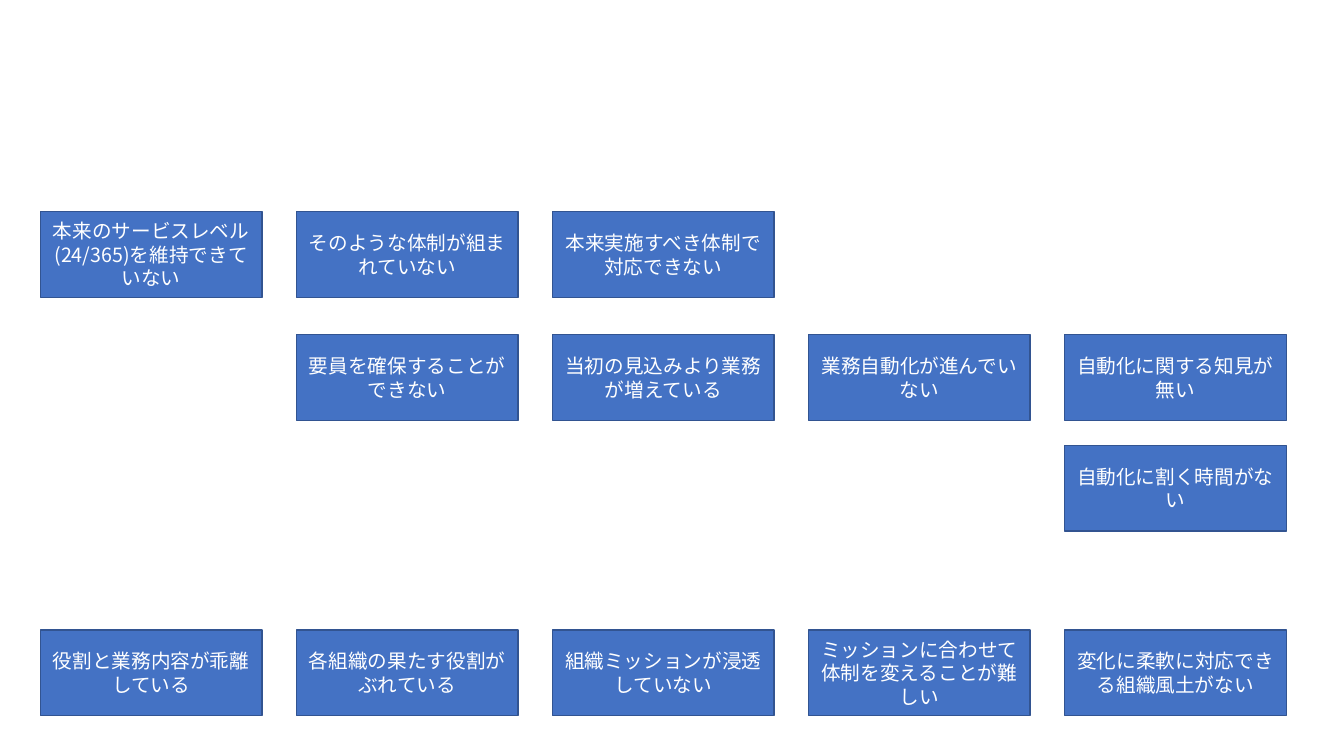
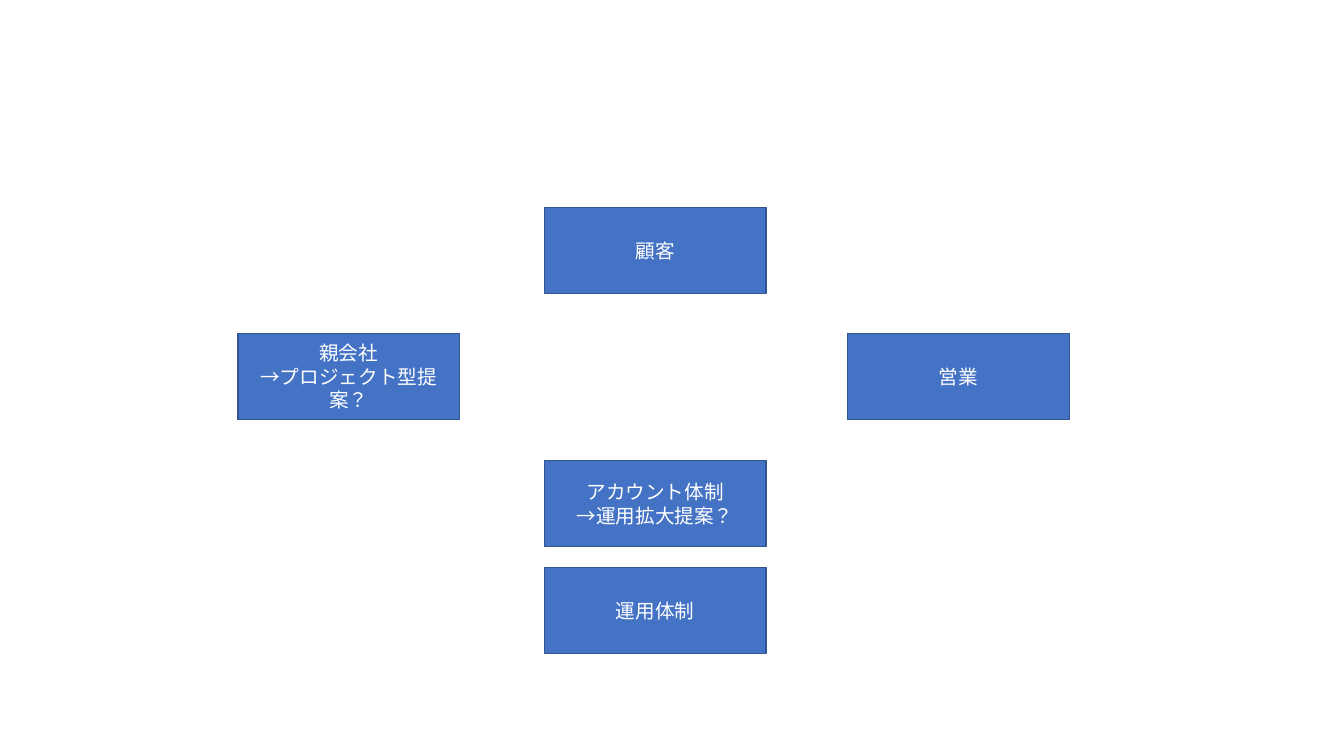
"""Build two slides of issue and stakeholder boxes."""
from lxml.etree import SubElement
from pptx import Presentation
from pptx.dml.color import RGBColor
from pptx.enum.lang import MSO_LANGUAGE_ID
from pptx.enum.shapes import MSO_SHAPE
from pptx.enum.text import MSO_ANCHOR, PP_ALIGN
from pptx.oxml.ns import qn
from pptx.util import Pt

ISSUE_ROWS = [
    (151.2, 0, ["本来のサービスレベル(24/365)を維持できていない",
                "そのような体制が組まれていない",
                "本来実施すべき体制で対応できない"]),
    (239, 1, ["要員を確保することができない",
              "当初の見込みより業務が増えている",
              "業務自動化が進んでいない",
              "自動化に関する知見が無い"]),
    (318.2, 4, ["自動化に割く時間がない"]),
    (450, 0, ["役割と業務内容が乖離している",
              "各組織の果たす役割がぶれている",
              "組織ミッションが浸透していない",
              "ミッションに合わせて体制を変えることが難しい",
              "変化に柔軟に対応できる組織風土がない"]),
]
LEFT, CENTER, RIGHT = 169.9, 388.8, 605.5
STAKEHOLDERS = [
    (CENTER, 329, "アカウント体制\n→運用拡大提案？"),
    (CENTER, 405.4, "運用体制"),
    (CENTER, 148.3, "顧客"),
    (LEFT, 238.3, "親会社\n→プロジェクト型提案？"),
    (RIGHT, 238.3, "営業"),
]
MARGIN, PITCH = 28.8, 182.9
BOX_W, BOX_H = 158.4, 61.2
FILL, LINE, WHITE = "4472C4", "325491", "FFFFFF"
FONT = {"size": Pt(14), "name": "Noto Sans CJK JP",
        "language_id": MSO_LANGUAGE_ID.JAPANESE}
FRAME = {"word_wrap": True, "vertical_anchor": MSO_ANCHOR.MIDDLE}


def rgb(value):
    """Turn a hex string into a colour."""
    return RGBColor.from_string(value)


def set_all(target, values):
    """Set every attribute in a dict of format values."""
    for name, value in values.items():
        setattr(target, name, value)


def add_box(s, x, y, text):
    """Add one blue box with centred white text."""
    sp = s.shapes.add_shape(MSO_SHAPE.RECTANGLE, Pt(x), Pt(y), Pt(BOX_W), Pt(BOX_H))
    sp.shadow.inherit = False
    sp.fill.solid()
    sp.fill.fore_color.rgb = rgb(FILL)
    sp.line.color.rgb = rgb(LINE)
    sp.line.width = Pt(1)
    tf = sp.text_frame
    tf.text = text
    set_all(tf, FRAME)
    for p in tf.paragraphs:
        p.alignment = PP_ALIGN.CENTER
        for r in p.runs:
            set_all(r.font, FONT)
            r.font.color.rgb = rgb(WHITE)
            SubElement(r._r.get_or_add_rPr(), qn("a:ea"), typeface=FONT["name"])


def issue_boxes():
    """Place each issue in its row and column."""
    return [(MARGIN + PITCH * col, y, text)
            for y, first, texts in ISSUE_ROWS
            for col, text in enumerate(texts, first)]


prs = Presentation()
prs.slide_width, prs.slide_height = Pt(960), Pt(540)
for boxes in (issue_boxes(), STAKEHOLDERS):
    s = prs.slides.add_slide(prs.slide_layouts[6])
    for x, y, text in boxes:
        add_box(s, x, y, text)
prs.save("out.pptx")
